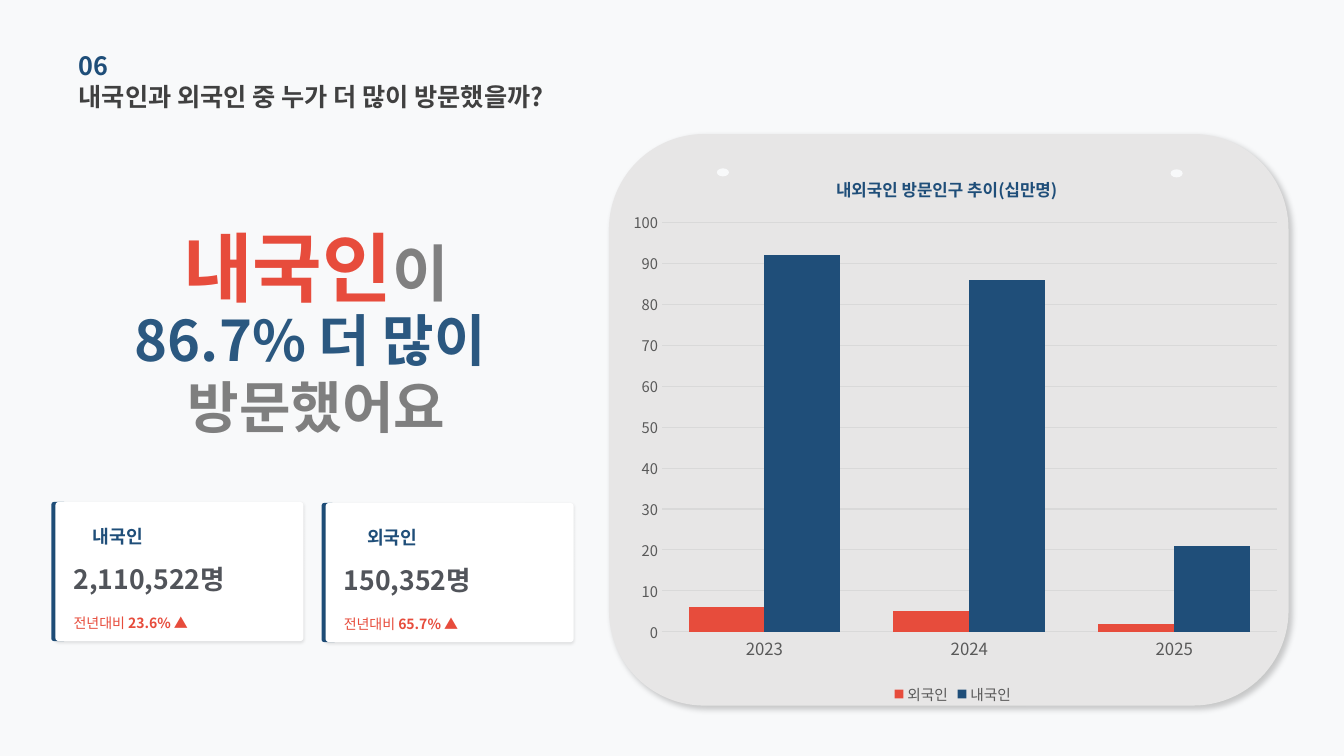
from lxml import etree
from pptx import Presentation
from pptx.chart.data import CategoryChartData
from pptx.dml.color import RGBColor
from pptx.enum.chart import XL_CHART_TYPE as ChartType, XL_LEGEND_POSITION as LegendPosition
from pptx.enum.chart import XL_TICK_MARK as TickMark
from pptx.enum.shapes import MSO_SHAPE as Shape
from pptx.enum.text import MSO_ANCHOR as Anchor, MSO_AUTO_SIZE as AutoSize, PP_ALIGN as Align
from pptx.oxml import parse_xml
from pptx.oxml.ns import nsdecls, qn
from pptx.util import Inches, Pt

NAVY, RED, GRID, AXIS_TEXT = "1F4E79", "E74C3C", "D9D9D9", "595959"
BACKGROUND, PANEL, WHITE = "F8F9FA", "E7E6E6", "FFFFFF"


def color(value):
    return RGBColor.from_string(value)


def place_manually(element, index, target=None, **fractions):
    """Set a manual layout, in fractions of the chart area."""
    for old in element.findall(qn("c:layout")):
        element.remove(old)
    layout = parse_xml(f"<c:layout {nsdecls('c')}><c:manualLayout/></c:layout>")
    settings = {"layoutTarget": target} if target else {}
    settings.update(xMode="edge", yMode="edge", **fractions)
    for tag, value in settings.items():
        etree.SubElement(layout[0], qn(f"c:{tag}")).set("val", str(value))
    element.insert(index, layout)


class SlideBuilder:
    font_name = "Noto Sans CJK KR"

    def __init__(self, slide):
        self.slide = slide
        slide.background.fill.solid()
        slide.background.fill.fore_color.rgb = color(BACKGROUND)

    def style_font(self, font, size, fill, bold=False):
        font.size, font.bold, font.name = Pt(size), bold, self.font_name
        font.color.rgb = color(fill)

    def add_runs(self, paragraph, runs):
        for text, size, fill, bold in runs:
            run = paragraph.add_run()
            run.text = text
            self.style_font(run.font, size, fill, bold)
            east_asian = etree.SubElement(run.font._element, qn("a:ea"))
            east_asian.set("typeface", self.font_name)

    def fill_text(self, shape, lines, align):
        frame = shape.text_frame
        frame.word_wrap, frame.auto_size = True, AutoSize.NONE
        frame.vertical_anchor = Anchor.MIDDLE
        frame.margin_left = frame.margin_right = frame.margin_top = frame.margin_bottom = 0
        for index, runs in enumerate(lines):
            paragraph = frame.add_paragraph() if index else frame.paragraphs[0]
            paragraph.alignment = align
            self.add_runs(paragraph, runs)

    def title(self, box, runs):
        shape = self.slide.shapes.title
        shape.left, shape.top, shape.width, shape.height = map(Inches, box)
        self.fill_text(shape, [runs], Align.LEFT)

    def text(self, box, *lines, align=Align.LEFT):
        self.fill_text(self.slide.shapes.add_textbox(*map(Inches, box)), lines, align)

    def shape(self, kind, box, fill, rounding=None, shadow=None):
        shape = self.slide.shapes.add_shape(kind, *map(Inches, box))
        shape.fill.solid()
        shape.fill.fore_color.rgb = color(fill)
        shape.line.fill.background()
        shape.shadow.inherit = False
        if rounding is not None:
            shape.adjustments[0] = rounding
        if shadow:
            opacity, blur, distance, angle = shadow
            effects = shape._element.spPr.find(qn("a:effectLst"))
            effects.append(parse_xml(
                f'<a:outerShdw {nsdecls("a")} blurRad="{Pt(blur)}" dist="{Pt(distance)}" '
                f'dir="{angle * 60000}" algn="ctr" rotWithShape="0"><a:srgbClr val="000000">'
                f'<a:alpha val="{opacity * 1000}"/></a:srgbClr></a:outerShdw>'))

    def card(self, left, top, name_offset, name, count, change):
        self.shape(Shape.ROUNDED_RECTANGLE, (left - 0.04, top, 0.15, 1.38), NAVY)
        self.shape(Shape.ROUNDED_RECTANGLE, (left, top, 2.46, 1.38), WHITE, 0.023, (10, 2, 1, 90))
        self.text((left + name_offset, top + 0.2, 0.65, 0.28), [(name, 13, NAVY, True)])
        self.text((left + 0.18, top + 0.57, 2.25, 0.39), [(count, 19, "51545A", True)])
        self.text((left + 0.18, top + 0.97, 2.25, 0.45),
                  [("전년대비 ", 10, RED, False), (change, 10, RED, True)])

    def column_chart(self, box, title, categories, series):
        data = CategoryChartData()
        data.categories = categories
        for name, values, _ in series:
            data.add_series(name, values)
        chart = self.slide.shapes.add_chart(
            ChartType.COLUMN_CLUSTERED, *map(Inches, box), data).chart
        chart.font.size, chart.font.name = Pt(10), "Calibri"
        chart.font.color.rgb = color("000000")
        chart.element.find(qn("c:txPr")).addprevious(parse_xml(
            f"<c:spPr {nsdecls('c', 'a')}><a:noFill/><a:ln><a:noFill/></a:ln></c:spPr>"))

        # Columns
        plot = chart.plots[0]
        plot.gap_width, plot.overlap, plot.vary_by_categories = 70, 0, False
        for column, (_, _, fill) in zip(plot.series, series):
            column.format.fill.solid()
            column.format.fill.fore_color.rgb = color(fill)

        # Axes
        for axis, size in ((chart.category_axis, 12), (chart.value_axis, 10.5)):
            axis.major_tick_mark = axis.minor_tick_mark = TickMark.NONE
            self.style_font(axis.tick_labels.font, size, AXIS_TEXT)
        chart.value_axis.minimum_scale, chart.value_axis.maximum_scale = 0, 100
        chart.value_axis.major_unit = 10
        chart.value_axis.format.line.fill.background()
        for line in (chart.category_axis.format.line, chart.value_axis.major_gridlines.format.line):
            line.color.rgb, line.width = color(GRID), Pt(0.75)

        # Legend, title and plot position
        chart.has_legend = True
        chart.legend.position, chart.legend.include_in_layout = LegendPosition.BOTTOM, False
        self.style_font(chart.legend.font, 10.5, AXIS_TEXT)
        self.add_runs(chart.chart_title.text_frame.paragraphs[0], [(title, 12, NAVY, True)])
        place_manually(chart.element.find(".//" + qn("c:title")), 1, x=0.32, y=0.04)
        place_manually(chart.element.find(".//" + qn("c:plotArea")), 0, "inner",
                       x=0.063, y=0.131, w=0.924, h=0.732)


def main():
    presentation = Presentation()
    presentation.slide_width, presentation.slide_height = Inches(13.33), Inches(7.5)
    builder = SlideBuilder(presentation.slides.add_slide(presentation.slide_layouts[5]))

    # Heading
    builder.title((0.78, 0.75, 5.28, 0.41),
                  [("내국인과 외국인 중 누가 더 많이 방문했을까?", 18, "404040", True)])
    builder.text((0.78, 0.44, 4.52, 0.41), [("06", 18, NAVY, True)])

    # Key message
    builder.text((0.99, 2.4, 4.29, 0.48),
                 [("내국인", 54, RED, True), ("이", 44, "808080", True)], align=Align.CENTER)
    builder.text((0.38, 3.28, 5.52, 0.84),
                 [("86.7% 더 많이 ", 40, "2B5880", True)],
                 [("방문했어요", 40, "7F7F7F", True)], align=Align.CENTER)

    # Visitor cards
    builder.card(0.55, 4.98, 0.37, "내국인", "2,110,522명", "23.6% ▲")
    builder.card(3.23, 4.99, 0.41, "외국인", "150,352명", "65.7% ▲")

    # Chart panel with its two pin holes
    builder.shape(Shape.ROUNDED_RECTANGLE, (6.04, 1.33, 6.74, 5.67), PANEL, shadow=(20, 4, 3, 45))
    for left, top in ((7.11, 1.67), (11.61, 1.68)):
        builder.shape(Shape.OVAL, (left, top, 0.12, 0.08), BACKGROUND)
    builder.column_chart((6.15, 1.48, 6.6, 5.55), "내외국인 방문인구 추이(십만명)",
                         ("2023", "2024", "2025"),
                         (("외국인", (6, 5, 2), RED), ("내국인", (92, 86, 21), NAVY)))

    presentation.save("out.pptx")


if __name__ == "__main__":
    main()
